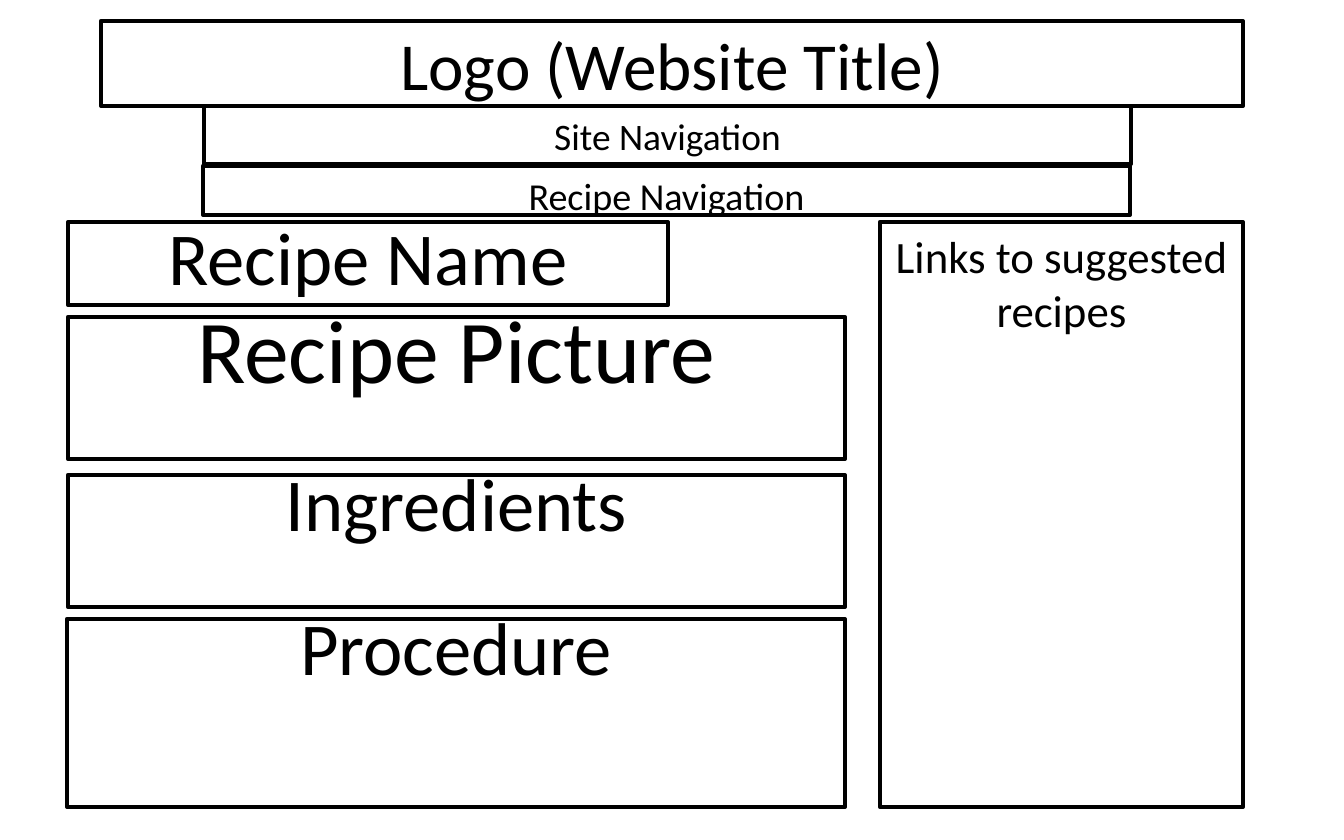
from dataclasses import dataclass
from typing import Optional

from lxml.etree import SubElement
from pptx import Presentation
from pptx.dml.color import RGBColor
from pptx.enum.text import MSO_ANCHOR as ANCHOR, MSO_AUTO_SIZE as AUTO, PP_ALIGN as ALIGN
from pptx.oxml.ns import qn
from pptx.util import Pt

PX = 914400 / 134.4
COLORS = {"ink": "000000", "paper": "FFFFFF"}
FRAME = {"word_wrap": True, "auto_size": AUTO.NONE}
FONT = {"name": "Calibri", "bold": False, "italic": False}


@dataclass
class Box:
    text: str
    left: int
    top: int
    width: int
    height: int
    size: float
    line_spacing: Optional[float] = None
    middle: bool = False
    placeholder: Optional[int] = None


def px(n: int) -> int:
    return round(n * PX)


def rgb(name: str) -> RGBColor:
    return RGBColor.from_string(COLORS[name])


def set_all(target, values: dict) -> None:
    for name, value in values.items():
        setattr(target, name, value)


def space_before_percent(p, percent: int) -> None:
    p.space_before = Pt(0)
    before = p._p.pPr.find(qn("a:spcBef"))
    before.remove(before[0])
    SubElement(before, qn("a:spcPct")).set("val", str(percent * 1000))


def draw_box(slide, box: Box) -> None:
    place = {"left": px(box.left), "top": px(box.top),
             "width": px(box.width), "height": px(box.height)}
    if box.placeholder is None:
        sp = slide.shapes.add_textbox(**place)
    else:
        sp = slide.placeholders[box.placeholder]
        set_all(sp, place)
    sp.line.color.rgb = rgb("ink")
    sp.line.width = Pt(2.25)

    tf = sp.text_frame
    set_all(tf, FRAME)
    tf.vertical_anchor = ANCHOR.MIDDLE if box.middle else ANCHOR.TOP
    p = tf.paragraphs[0]
    p.alignment = ALIGN.CENTER
    if box.line_spacing:
        p.line_spacing = box.line_spacing
    if not box.middle:
        space_before_percent(p, 20)
    r = p.add_run()
    r.text = box.text
    set_all(r.font, FONT)
    r.font.size = Pt(box.size)
    r.font.color.rgb = rgb("ink")


# Page regions
BOXES = [
    Box("Logo (Website Title)", 101, 21, 1142, 85, 36, middle=True, placeholder=0),
    Box("Site Navigation", 204, 106, 927, 58, 20, placeholder=1),
    Box("Recipe Name", 68, 222, 600, 83, 40, 0.8, middle=True),
    Box("Recipe Picture", 68, 317, 777, 142, 48, 0.7),
    Box("Ingredients", 68, 475, 777, 132, 40, 0.7),
    Box("Procedure", 67, 619, 778, 188, 40, 0.7),
    Box("Links to suggested recipes", 880, 222, 363, 585, 24),
    Box("Recipe Navigation", 203, 166, 927, 49, 20.4),
]

# Slide
prs = Presentation()
prs.slide_width, prs.slide_height = px(1344), px(840)
slide = prs.slides.add_slide(prs.slide_layouts[0])
slide.background.fill.solid()
slide.background.fill.fore_color.rgb = rgb("paper")
for box in BOXES:
    draw_box(slide, box)
prs.save("out.pptx")
